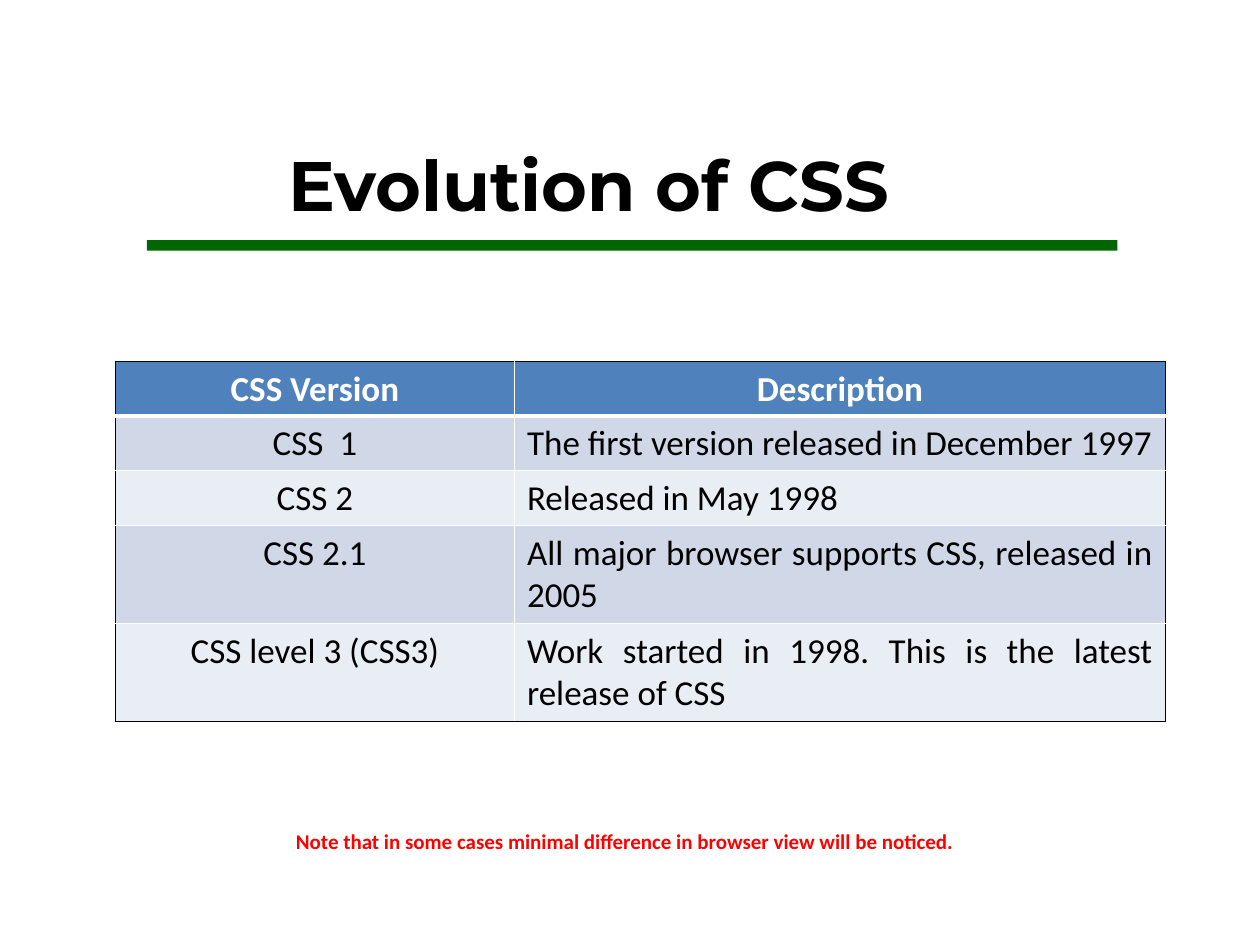
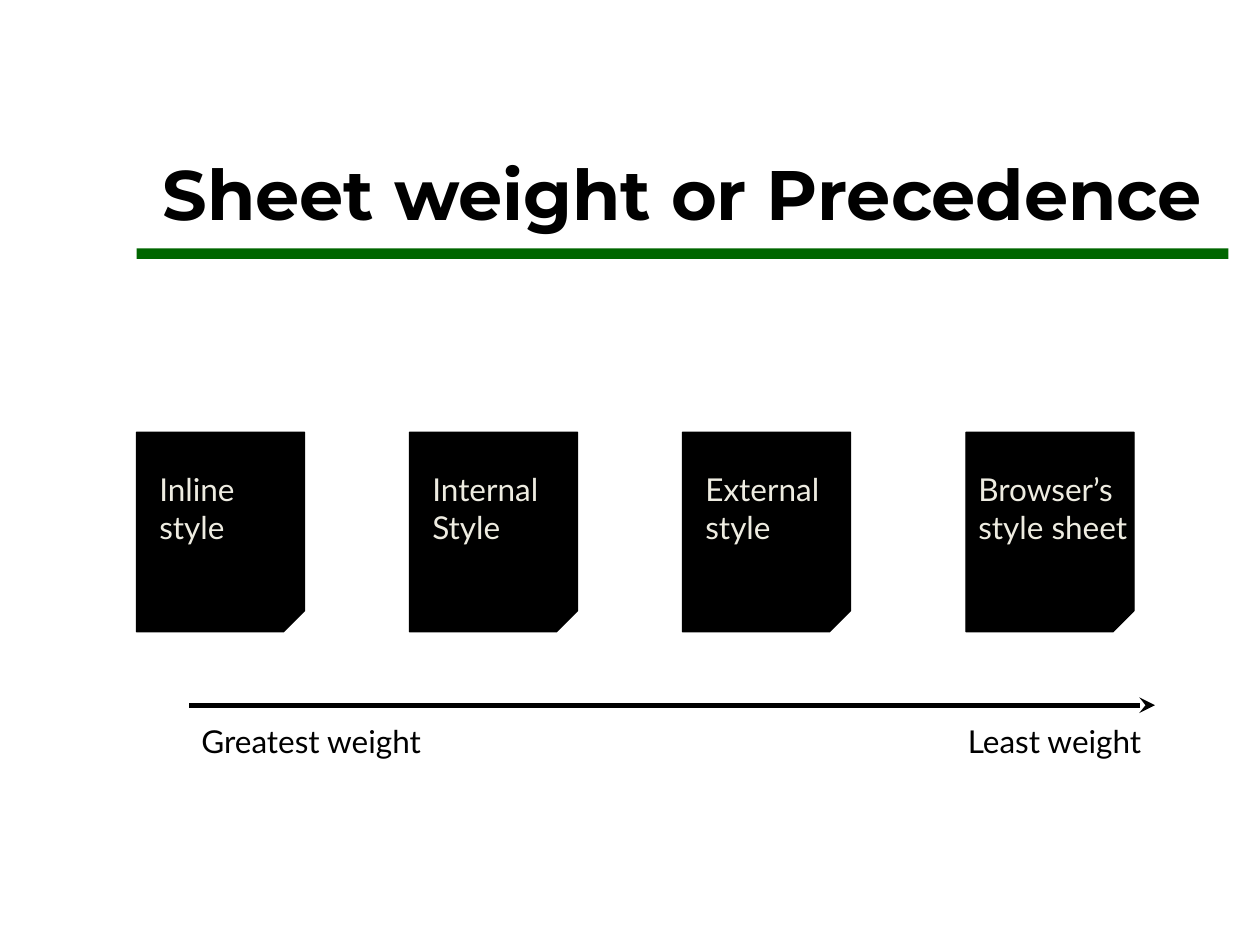
from lxml.etree import SubElement
from pptx import Presentation
from pptx.dml.color import RGBColor
from pptx.enum.shapes import MSO_CONNECTOR, MSO_SHAPE
from pptx.enum.text import MSO_ANCHOR, PP_ALIGN as ALIGN
from pptx.oxml.ns import qn
from pptx.util import Pt

# Colours
BLACK = RGBColor(0x00, 0x00, 0x00)
WHITE = RGBColor(0xFF, 0xFF, 0xFF)
GREEN = RGBColor(0x00, 0x66, 0x00)
RED = RGBColor(0xFF, 0x00, 0x00)
CREAM = RGBColor(0xEE, 0xEC, 0xE1)
HEADER_BLUE = RGBColor(0x4F, 0x81, 0xBD)
BANDS = (RGBColor(0xD0, 0xD8, 0xE8), RGBColor(0xE9, 0xED, 0xF4))

# Text formats
TITLE = {"name": "Montserrat", "size": Pt(40), "bold": True, "color": BLACK}
HEADER = {"name": "Calibri", "size": Pt(20), "bold": True, "color": WHITE}
BODY = HEADER | {"bold": False, "color": BLACK}
NOTE = {"name": "Calibri", "size": Pt(12), "bold": True, "color": RED}
LABEL = {"name": "Lato", "size": Pt(18), "color": BLACK}
CARD_LABEL = LABEL | {"color": CREAM}

VERSIONS = [
    ("CSS Version", "Description"),
    ("CSS  1", "The first version released in December 1997"),
    ("CSS 2", "Released in May 1998"),
    ("CSS 2.1", "All major browser supports CSS, released in 2005"),
    ("CSS level 3 (CSS3)",
     "Work started in 1998. This is the latest release of CSS"),
]
COLUMN_WIDTHS = (228, 372)
ROW_HEIGHTS = (31, 31, 31, 56, 56)

# Card left, label inset, label width, label
CARDS = [
    (78, 6, 89, "Inline style"),
    (234, 6, 89, "Internal Style"),
    (390, 6, 84, "External style"),
    (552, 0, 102, "Browser’s style sheet"),
]
CARD_TOP = 247


def write(tf, text, fmt, align=ALIGN.LEFT):
    p = tf.paragraphs[0]
    p.alignment = align
    r = p.add_run()
    r.text = text
    for key, value in fmt.items():
        if key == "color":
            r.font.color.rgb = value
        else:
            setattr(r.font, key, value)


def add_text(s, box, text, fmt, align=ALIGN.LEFT, wrap=True,
             anchor=MSO_ANCHOR.TOP):
    tf = s.shapes.add_textbox(*map(Pt, box)).text_frame
    tf.word_wrap = wrap
    tf.vertical_anchor = anchor
    write(tf, text, fmt, align)


def add_block(s, kind, box, color):
    sp = s.shapes.add_shape(kind, *map(Pt, box))
    sp.shadow.inherit = False
    sp.fill.solid()
    sp.fill.fore_color.rgb = color
    sp.line.fill.background()
    return sp


def add_title(s, text, title_box, bar_box):
    add_text(s, title_box, text, TITLE, ALIGN.CENTER,
             anchor=MSO_ANCHOR.MIDDLE)
    add_block(s, MSO_SHAPE.RECTANGLE, bar_box, GREEN)


def set_border(cell, side, color, width):
    ln = SubElement(cell._tc.get_or_add_tcPr(), qn(f"a:ln{side}"),
                    w=str(Pt(width)))
    fill = SubElement(ln, qn("a:solidFill"))
    SubElement(fill, qn("a:srgbClr"), val=str(color))


def add_version_table(s, left, top):
    size = Pt(sum(COLUMN_WIDTHS)), Pt(sum(ROW_HEIGHTS))
    table = s.shapes.add_table(len(VERSIONS), len(COLUMN_WIDTHS),
                               Pt(left), Pt(top), *size).table
    for column, width in zip(table.columns, COLUMN_WIDTHS):
        column.width = Pt(width)
    last_row, last_col = len(VERSIONS) - 1, len(COLUMN_WIDTHS) - 1
    for i, texts in enumerate(VERSIONS):
        table.rows[i].height = Pt(ROW_HEIGHTS[i])
        for j, text in enumerate(texts):
            cell = table.cell(i, j)
            # Black outside, white inside, thick white under the header
            outer = {"L": j == 0, "R": j == last_col,
                     "T": i == 0, "B": i == last_row}
            for side, is_outer in outer.items():
                thick = (i, side) in ((0, "B"), (1, "T"))
                set_border(cell, side, BLACK if is_outer else WHITE,
                           3 if thick else 1)
            cell.fill.solid()
            cell.fill.fore_color.rgb = BANDS[(i - 1) % 2] if i else HEADER_BLUE
            align = ALIGN.JUSTIFY if i and j else ALIGN.CENTER
            write(cell.text_frame, text, BODY if i else HEADER, align)


def add_card(s, left, inset, width, text):
    sp = add_block(s, MSO_SHAPE.FOLDED_CORNER, (left, CARD_TOP, 96, 114), BLACK)
    # Fold size: an eighth of the width
    guides = next(sp._element.iter(qn("a:avLst")))
    SubElement(guides, qn("a:gd"), name="adj", fmla="val 12500")
    sp.line.color.rgb = BLACK
    sp.line.width = Pt(0.75)
    add_text(s, (left + inset, CARD_TOP + 18, width, 50), text, CARD_LABEL)


def add_arrow(s, x1, x2, y):
    line = s.shapes.add_connector(MSO_CONNECTOR.STRAIGHT,
                                  Pt(x1), Pt(y), Pt(x2), Pt(y))
    line.line.color.rgb = BLACK
    line.line.width = Pt(3)
    spPr = line._element.spPr
    SubElement(spPr.find(qn("a:ln")), qn("a:tailEnd"), type="stealth")
    SubElement(spPr, qn("a:effectLst"))


def build_evolution(s):
    add_title(s, "Evolution of CSS ", (54, 60, 576, 90), (84, 137.3, 554.5, 6))
    add_version_table(s, 66, 206.5)
    add_text(s, (162, 470, 395, 22),
             "Note that in some cases minimal difference in browser view "
             "will be noticed.", NOTE, wrap=False)


def build_precedence(s):
    add_title(s, "Sheet weight or Precedence", (66, 65, 648, 90),
              (78, 142, 624, 6))
    for card in CARDS:
        add_card(s, *card)
    # Weight scale
    add_arrow(s, 108, 660, 403)
    add_text(s, (108, 409, 140, 29), "Greatest weight", LABEL, wrap=False)
    add_text(s, (546, 409, 115, 29), "Least weight", LABEL, wrap=False)


def main():
    prs = Presentation()
    prs.slide_width, prs.slide_height = Pt(720), Pt(540)
    for build in (build_evolution, build_precedence):
        build(prs.slides.add_slide(prs.slide_layouts[6]))
    prs.save("out.pptx")


if __name__ == "__main__":
    main()
